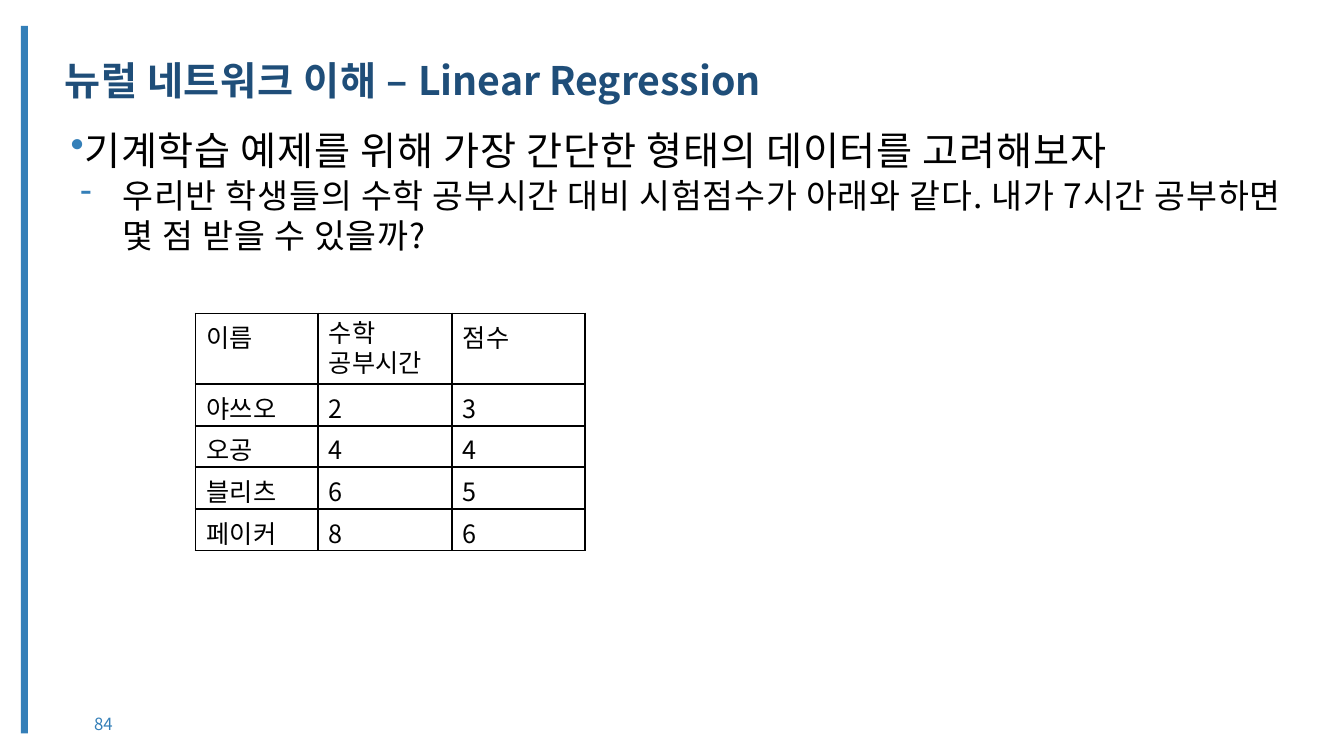
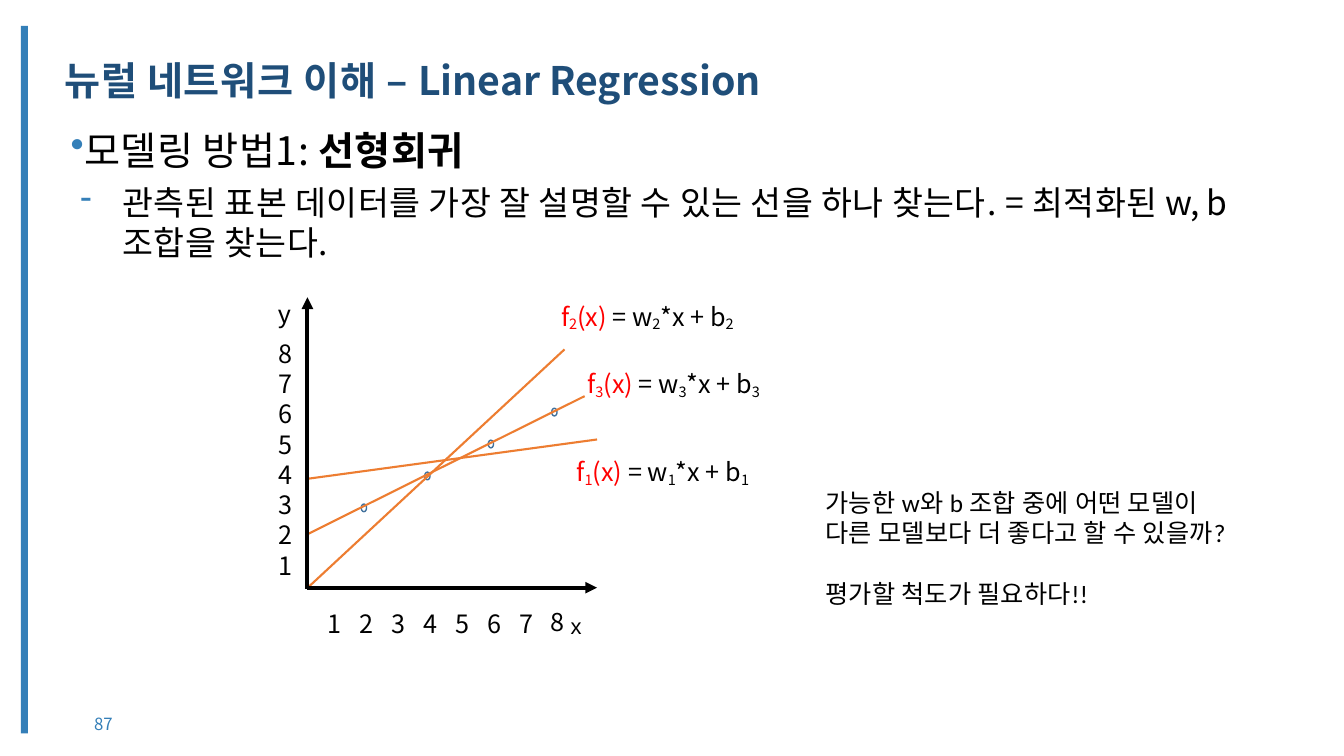
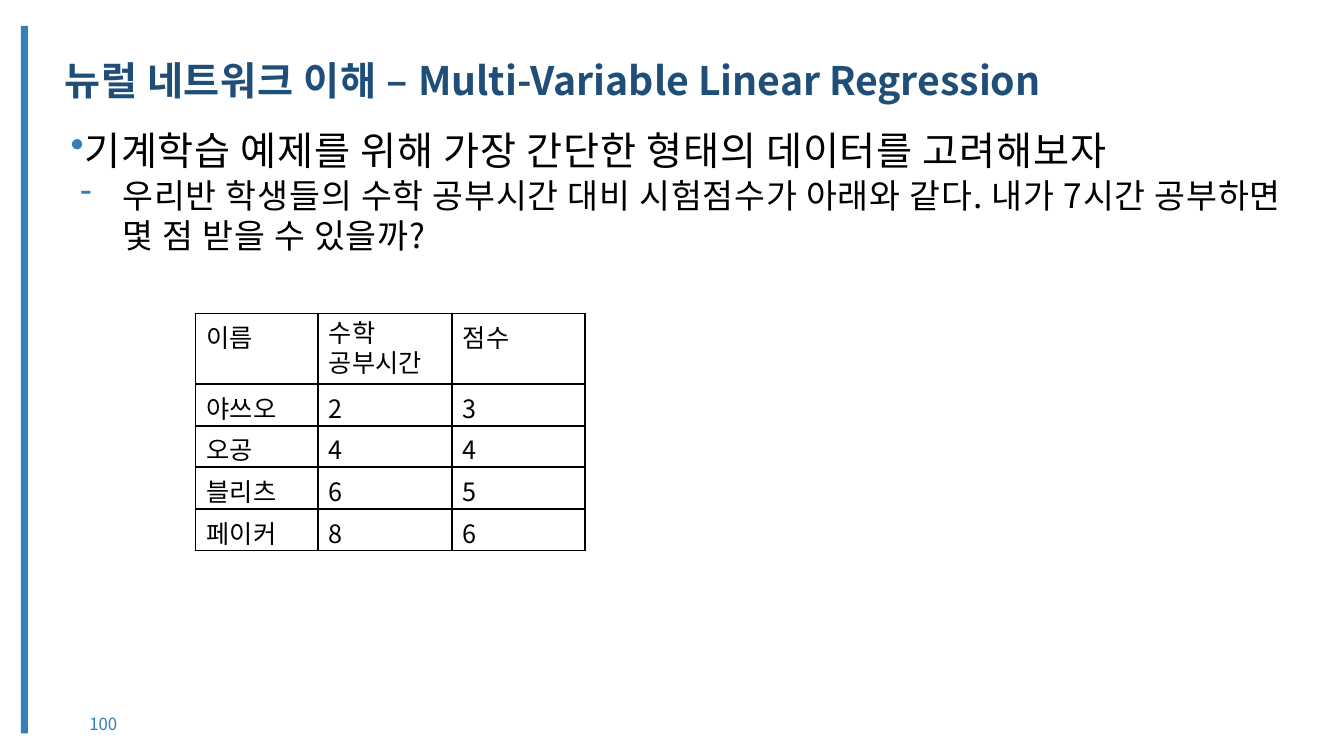
from pptx import Presentation
from pptx.dml.color import RGBColor
from pptx.enum.shapes import MSO_CONNECTOR, MSO_SHAPE
from pptx.enum.text import MSO_ANCHOR, PP_ALIGN
from pptx.oxml.ns import qn
from pptx.util import Inches, Pt
from lxml.etree import SubElement, Element

HUES = {"bar": "347FB8", "title": "1F4E79", "ink": "000000", "red": "FF0000",
        "dot": "41719C", "fit": "ED7D31"}
FONT = "Noto Sans CJK KR"
COLS, ROWS = 40, 22.5


def grid(cells):
    return Inches(cells / 3)


def hue(name):
    return RGBColor.from_string(HUES[name])


class Deck:
    def __init__(self):
        self.file = Presentation()
        self.file.slide_width = grid(COLS)
        self.file.slide_height = grid(ROWS)

    def page(self, title, num):
        self.slide = self.file.slides.add_slide(self.file.slide_layouts[6])
        self.shape(MSO_SHAPE.RECTANGLE, 0.62, 0.77, 0.21, 21.06, fill="bar")
        frame = self.box(1.8, 1.74, 36.75, 2.64, (0.12, 0.12))
        self.para(frame, [("뉴럴 네트워크 이해 – ", {"track": 48}), (title, {})],
                  size=28, lead=29.5, color="title", bold=True)
        frame = self.box(1.8, 21.27, 2.55, 0.54, (0.3, 0.15))
        frame.vertical_anchor = MSO_ANCHOR.MIDDLE
        para = self.para(frame, [(num, {})], size=12, color="bar")
        para.alignment = PP_ALIGN.CENTER

    def shape(self, kind, left, top, wide, high, fill=None, line=None):
        shape = self.slide.shapes.add_shape(
            kind, grid(left), grid(top), grid(wide), grid(high))
        shape.shadow.inherit = False
        if fill:
            shape.fill.solid()
            shape.fill.fore_color.rgb = hue(fill)
        else:
            shape.fill.background()
        if line:
            shape.line.color.rgb = hue(line)
            shape.line.width = Pt(1)
        else:
            shape.line.fill.background()

    def box(self, left, top, wide, high, pad=(0, 0.03)):
        shape = self.slide.shapes.add_textbox(
            grid(left), grid(top), grid(wide), grid(high))
        frame = shape.text_frame
        frame.word_wrap = True
        frame.margin_left = frame.margin_right = grid(pad[0])
        frame.margin_top = frame.margin_bottom = grid(pad[1])
        return frame

    def para(self, frame, runs, lead=None, gap=0, mark=None, dent=None, **base):
        first = frame.paragraphs[0]
        para = frame.add_paragraph() if first.runs else first
        props = para._p.get_or_add_pPr()
        if dent:
            props.set("marL", str(grid(dent[0])))
            props.set("indent", str(grid(dent[1])))
        if mark:
            tint = SubElement(props, qn("a:buClr"))
            SubElement(tint, qn("a:srgbClr")).set("val", HUES["bar"])
            SubElement(props, qn("a:buChar")).set("char", mark)
        if lead:
            para.line_spacing = Pt(lead)
        if gap:
            para.space_before = Pt(gap)
        for text, style in runs:
            self.run(para, text, **{**base, **style})
        return para

    def run(self, para, text, size=18, color="ink", bold=False, face=FONT, base=0, track=0):
        run = para.add_run()
        run.text = text
        font = run.font
        font.size = Pt(size)
        font.bold = bold
        font.color.rgb = hue(color)
        font.name = face
        props = run._r.get_or_add_rPr()
        SubElement(props, qn("a:ea")).set("typeface", FONT)
        if base:
            props.set("baseline", str(base * 1000))
        if track:
            props.set("spc", str(track))

    def body(self, head, sub, gap, track):
        frame = self.box(1.8, 3.6, 36.75, 17.67, (0.3, 0.15))
        self.para(frame, head, lead=33.5, mark="•", dent=(0.03, -0.75),
                  size=28, track=track)
        self.para(frame, sub, lead=29, gap=gap, mark="-", dent=(1.55, -1.26),
                  size=24, track=track)

    def table(self, left, top, wides, highs, rows):
        table = self.slide.shapes.add_table(
            len(rows), len(wides), grid(left), grid(top),
            grid(sum(wides)), grid(sum(highs))).table
        for col, wide in zip(table.columns, wides):
            col.width = grid(wide)
        for row, high, texts in zip(table.rows, highs, rows):
            row.height = grid(high)
            for cell, text in zip(row.cells, texts):
                self.cell(cell, text)

    def cell(self, cell, text):
        wraps = " " in text
        cell.margin_left = grid(0.33)
        cell.margin_right = cell.margin_bottom = 0
        cell.margin_top = grid(0.2 if wraps else 0.15)
        self.para(cell.text_frame, [(text, {})], lead=21.2 if wraps else 26)
        props = cell._tc.get_or_add_tcPr()
        for spot, side in enumerate(("lnL", "lnR", "lnT", "lnB")):
            edge = Element(qn("a:" + side))
            edge.set("w", str(Pt(1.5)))
            fill = SubElement(edge, qn("a:solidFill"))
            SubElement(fill, qn("a:srgbClr")).set("val", HUES["ink"])
            props.insert(spot, edge)
        cell.fill.background()

    def line(self, start, end, color, wide, arrow=False):
        line = self.slide.shapes.add_connector(
            MSO_CONNECTOR.STRAIGHT, *map(grid, start + end))
        line.line.color.rgb = hue(color)
        line.line.width = Pt(wide)
        if arrow:
            SubElement(line.line._get_or_add_ln(), qn("a:tailEnd")).set("type", "triangle")
        SubElement(line._element.spPr, qn("a:effectLst"))

    def model(self, frame, num, **form):
        low, red = {"base": -14}, {"color": "red"}
        runs = [("f", red), (num, {**low, **red}), ("(x) ", red), ("= w", {}),
                (num, low), ("*x + b", {}), (num, low)]
        self.para(frame, runs, lead=22.5, **form)


def scores(deck, title, num):
    deck.page(title, num)
    deck.body(
        [("기계학습 예제를 위해 가장 간단한 형태의 데이터를 고려해보자", {})],
        [("우리반 학생들의 수학 공부시간 대비 시험점수가 아래와 같다. 내가 7시간 공부하면 ", {}),
         ("몇 점 받을 수 있을까?", {})], 1, 58)
    deck.table(5.82, 9.33, [3.64, 3.99, 3.96], [2.1] + [1.24] * 4, [
        ("이름", "수학 공부시간", "점수"),
        ("야쓰오", "2", "3"),
        ("오공", "4", "4"),
        ("블리츠", "6", "5"),
        ("페이커", "8", "6")])


def fits(deck, title, num):
    deck.page(title, num)
    deck.body(
        [("모델링 방법1: ", {}), ("선형회귀", {"face": "Roboto", "bold": True})],
        [("관측된 표본 데이터를 가장 잘 설명할 수 있는 선을 하나 찾는다. = 최적화된 ",
          {"track": 35}),
         ("w, ", {"track": -50}), ("b조합을 ", {}), ("찾는다.", {})], 6, 30)

    note = deck.box(24.51, 14.46, 12.72, 3.69)
    latin = {"face": "Calibri"}
    deck.para(note, [("가능한 ", {}), ("w", latin), ("와 ", {}), ("b ", latin),
                     ("조합 중에 어떤 모델이 다른 모델보다 더 좋다고 할 수 있을까", {}),
                     ("?", latin)], lead=21.6, dent=(0.06, 0), track=22)
    deck.para(note, [("평가할 척도가 필요하다", {}), ("!!", latin)],
              lead=21.6, gap=21.8, dent=(0.06, 0), track=16)

    ticks = deck.box(8.28, 8.52, 0.51, 8.79, (0, 0.36))
    deck.para(ticks, [("y", {"face": "Arial"})], lead=21.5)
    for tick in range(8, 0, -1):
        deck.para(ticks, [(str(tick), {})], lead=21.6, gap=7 if tick == 8 else 0)
    for tick in range(1, 9):
        runs = [(str(tick), {})]
        if tick == 8:
            runs = [("8 ", {}), ("x", {"size": 27, "face": "Arial", "base": -9})]
        frame = deck.box(8.8 + 0.95 * tick, 17.67, 1.5, 0.99)
        deck.para(frame, runs, lead=31.5)

    for step in range(4):
        deck.shape(MSO_SHAPE.OVAL, 10.75 + 1.89 * step, 15 - 0.95 * step,
                   0.16, 0.23, line="dot")
    for base, end in ((17.5, (16.8, 10.4)), (15.9, (17.4, 11.79)), (14.25, (17.77, 13.08))):
        deck.line((9.15, base), end, "fit", 1.5)
    deck.line((9.15, 17.52), (9.15, 8.85), "ink", 2.8, arrow=True)
    deck.line((9.15, 17.49), (17.77, 17.49), "ink", 2.8, arrow=True)

    names = deck.box(16.65, 8.94, 6.51, 2.91)
    deck.model(names, "2", dent=(0.05, 0))
    deck.model(names, "3", dent=(0.83, 0), gap=25.4)
    deck.model(deck.box(17.13, 13.56, 5.73, 0.99), "1", dent=(0.03, 0))


def main():
    deck = Deck()
    scores(deck, "Linear Regression", "84")
    fits(deck, "Linear Regression", "87")
    scores(deck, "Multi-Variable Linear Regression", "100")
    deck.file.save("out.pptx")


if __name__ == "__main__":
    main()
